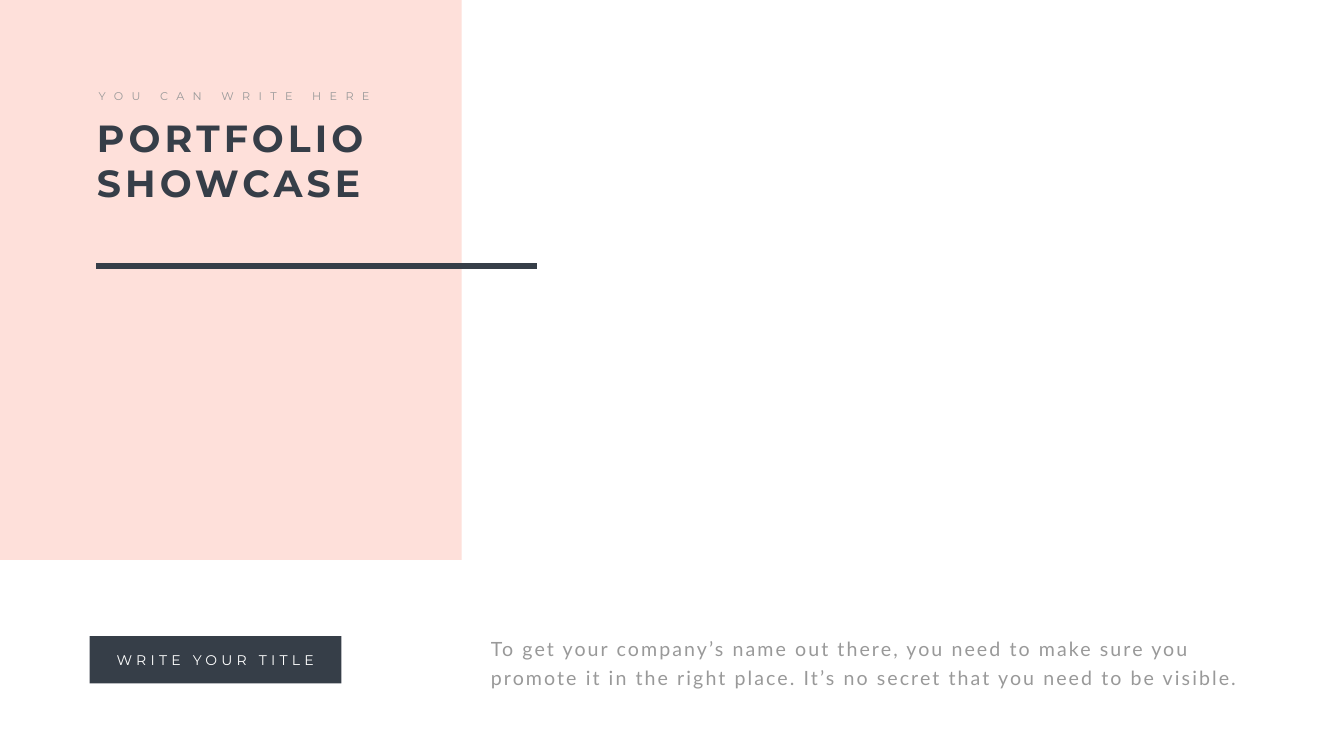
from lxml.etree import SubElement
from pptx import Presentation
from pptx.dml.color import RGBColor as RGB
from pptx.enum.shapes import MSO_CONNECTOR as Link, MSO_SHAPE as Shape
from pptx.enum.text import MSO_ANCHOR as Anchor, PP_ALIGN as Align
from pptx.oxml.ns import qn
from pptx.util import Inches, Pt

PINK = RGB(0xFE, 0xE0, 0xDA)
DARK = RGB(0x36, 0x3E, 0x48)
GREY = RGB(0x99, 0x99, 0x99)
WHITE = RGB(0xFF, 0xFF, 0xFF)

# Content: wording, place, font, size, colour, letter spacing, options
TITLE = ("PORTFOLIO SHOWCASE", (1.82, 2.22, 5.82, 1.92),
         "Montserrat", 54, DARK, 6, {"bold": True})
TEXTS = [
    ("YOU CAN WRITE HERE", (1.86, 1.72, 5.78, 0.37),
     "Montserrat", 16, GREY, 12, {"wrap": False}),
    ("To get your company’s name out there, you need to make sure you "
     "promote it in the right place. It’s no secret that you need to be "
     "visible.", (9.64, 12.49, 15.24, 1.19),
     "Lato", 28, GREY, 3, {"lead": Pt(40.8)}),
    ("WRITE YOUR TITLE", (2.15, 12.87, 4.24, 0.44),
     "Montserrat", 20, WHITE, 6, {"align": Align.CENTER, "wrap": False}),
]
PANEL = (0, 0, 9.16, 11.11)
BUTTON = (1.78, 12.62, 4.99, 0.94)
RULE = (10.65, 5.28, 1.9, 5.28)


def to_emu(nums):
    return [Inches(n) for n in nums]


def add_block(slide, box, color):
    block = slide.shapes.add_shape(Shape.RECTANGLE, *to_emu(box))
    block.shadow.inherit = False
    block.fill.solid()
    block.fill.fore_color.rgb = color
    block.line.fill.background()
    return block


def set_text(shape, words, face, size, color, gap, bold=False,
             wrap=True, align=Align.LEFT, lead=1.0):
    frame = shape.text_frame
    frame.text = words
    frame.word_wrap = wrap
    frame.vertical_anchor = Anchor.TOP
    para = frame.paragraphs[0]
    para.alignment = align
    para.line_spacing = lead
    run = para.runs[0]
    font = run.font
    font.name, font.size, font.bold = face, Pt(size), bold
    font.color.rgb = color
    font._element.set("spc", str(gap * 100))


def main():
    deck = Presentation()
    deck.slide_width, deck.slide_height = Inches(26.66), Inches(15)
    slide = deck.slides.add_slide(deck.slide_layouts[5])

    # Pink panel goes behind the title
    panel = add_block(slide, PANEL, PINK)
    slide.shapes._spTree.insert(2, panel._element)

    # Title
    words, box, *style, opts = TITLE
    title = slide.shapes.title
    title.left, title.top, title.width, title.height = to_emu(box)
    set_text(title, words, *style, **opts)

    # Rule below the title
    rule = slide.shapes.add_connector(Link.STRAIGHT, *to_emu(RULE))
    rule.line.color.rgb = DARK
    rule.line.width = Pt(8)
    SubElement(rule._element.spPr, qn("a:effectLst"))

    # Button, then the other texts
    add_block(slide, BUTTON, DARK)
    for words, box, *style, opts in TEXTS:
        area = slide.shapes.add_textbox(*to_emu(box))
        set_text(area, words, *style, **opts)

    deck.save("out.pptx")


if __name__ == "__main__":
    main()
